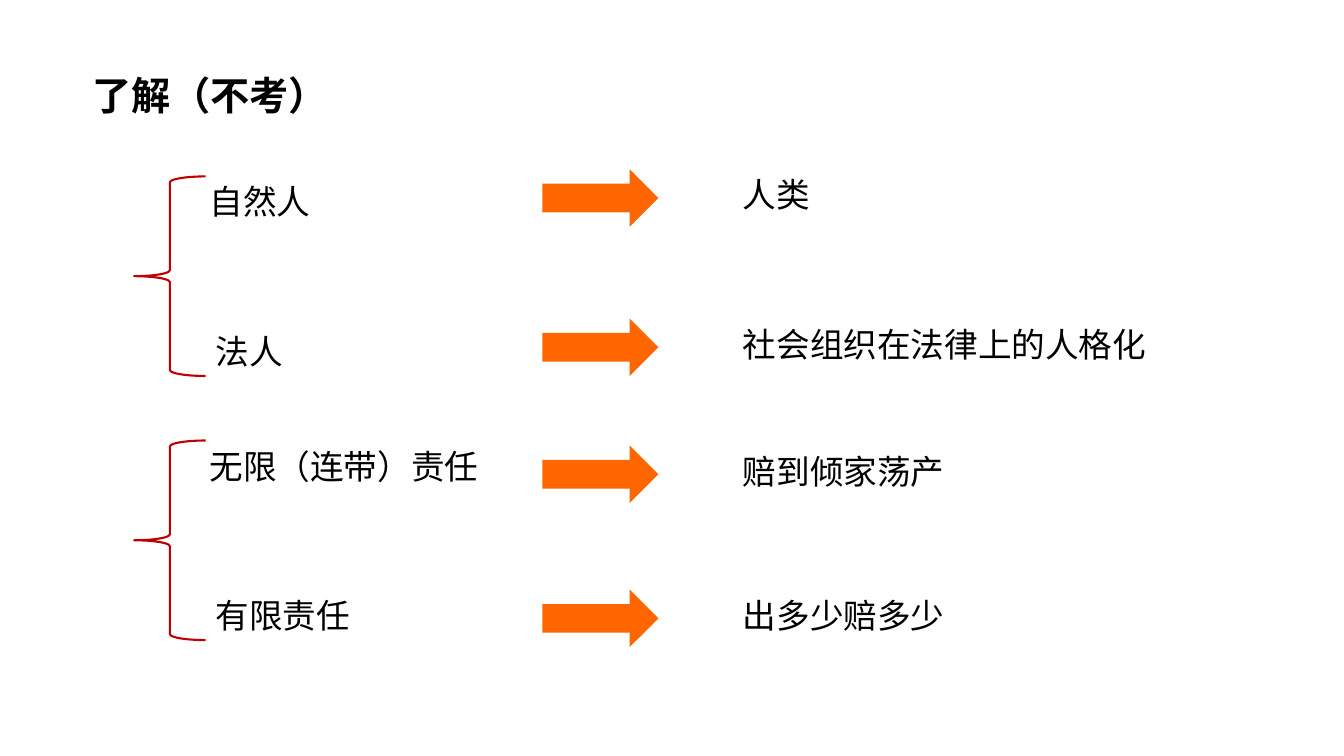
from dataclasses import dataclass

from pptx import Presentation
from pptx.dml.color import RGBColor as Rgb
from pptx.enum.shapes import MSO_SHAPE as Kind
from pptx.enum.text import MSO_ANCHOR as Anchor, MSO_AUTO_SIZE as Fit, PP_ALIGN as Align
from pptx.oxml.ns import qn
from pptx.util import Emu, Pt
from lxml.etree import SubElement as Sub

PX = 9144


@dataclass
class Theme:
    """Colours, fonts and type sizes."""
    ink: str = "000000"
    brace: str = "C00000"
    arrow: str = "FF6600"
    latin: str = "Calibri"
    han: str = "Noto Sans CJK SC"
    head: int = 28
    body: int = 24
    rule: float = 1.5


class Deck:
    """Draws styled elements on the current slide."""

    def __init__(self, theme, width, height):
        self.theme = theme
        self.file = Presentation()
        self.file.slide_width, self.file.slide_height = Emu(width * PX), Emu(height * PX)

    def add(self):
        self.slide = self.file.slides.add_slide(self.file.slide_layouts[5])

    def apply(self, item, form):
        for key, value in form.items():
            setattr(item, key, value)

    def fill_text(self, frame, text, form):
        para = frame.paragraphs[0]
        para.alignment = Align.LEFT
        run = para.add_run()
        run.text = text
        self.apply(run.font, form)
        run.font.color.rgb = Rgb.from_string(self.theme.ink)
        Sub(run.font._element, qn("a:ea"), typeface=self.theme.han)

    def title(self, text, *box):
        shape = self.slide.shapes.title
        self.apply(shape, dict(zip(("left", "top", "width", "height"), (Emu(n * PX) for n in box))))
        frame = shape.text_frame
        self.apply(frame, {"auto_size": Fit.NONE, "vertical_anchor": Anchor.MIDDLE,
                           "margin_left": Emu(12 * PX), "margin_right": Emu(12 * PX),
                           "margin_top": Emu(6 * PX), "margin_bottom": Emu(6 * PX)})
        self.fill_text(frame, text, {"name": self.theme.han, "size": Pt(self.theme.head), "bold": True})

    def label(self, text, left, top):
        width = (67 * len(text) + 42) // 2
        box = self.slide.shapes.add_textbox(*(Emu(n * PX) for n in (left, top, width, 50)))
        self.apply(box.text_frame, {"word_wrap": False, "auto_size": Fit.SHAPE_TO_FIT_TEXT})
        self.fill_text(box.text_frame, text, {"name": self.theme.latin, "size": Pt(self.theme.body)})

    def shape(self, kind, *box):
        item = self.slide.shapes.add_shape(kind, *(Emu(n * PX) for n in box))
        item.shadow.inherit = False
        return item

    def brace(self, *box):
        item = self.shape(Kind.LEFT_BRACE, *box)
        item.fill.background()
        item.line.color.rgb = Rgb.from_string(self.theme.brace)
        item.line.width = Pt(self.theme.rule)

    def arrow(self, *box):
        item = self.shape(Kind.RIGHT_ARROW, *box)
        item.fill.solid()
        item.fill.fore_color.rgb = Rgb.from_string(self.theme.arrow)
        item.line.fill.background()


def main():
    """Build the slide of terms and their meanings."""
    deck = Deck(Theme(), 1333, 750)
    deck.add()
    deck.title("了解（不考）", 80, 65, 1145, 59)
    pairs = [
        (175, [("自然人", "人类", 168), ("法人", "社会组织在法律上的人格化", 316)]),
        (437, [("无限（连带）责任", "赔到倾家荡产", 442), ("有限责任", "出多少赔多少", 585)]),
    ]
    for top, rows in pairs:
        deck.brace(133, top, 71, 198)
        for num, (term, sense, row) in enumerate(rows):
            deck.label(term, 198 + 6 * num, top + 148 * num)
            deck.arrow(538, row, 115, 57)
            deck.label(sense, 727, row)
    deck.file.save("out.pptx")


if __name__ == "__main__":
    main()
